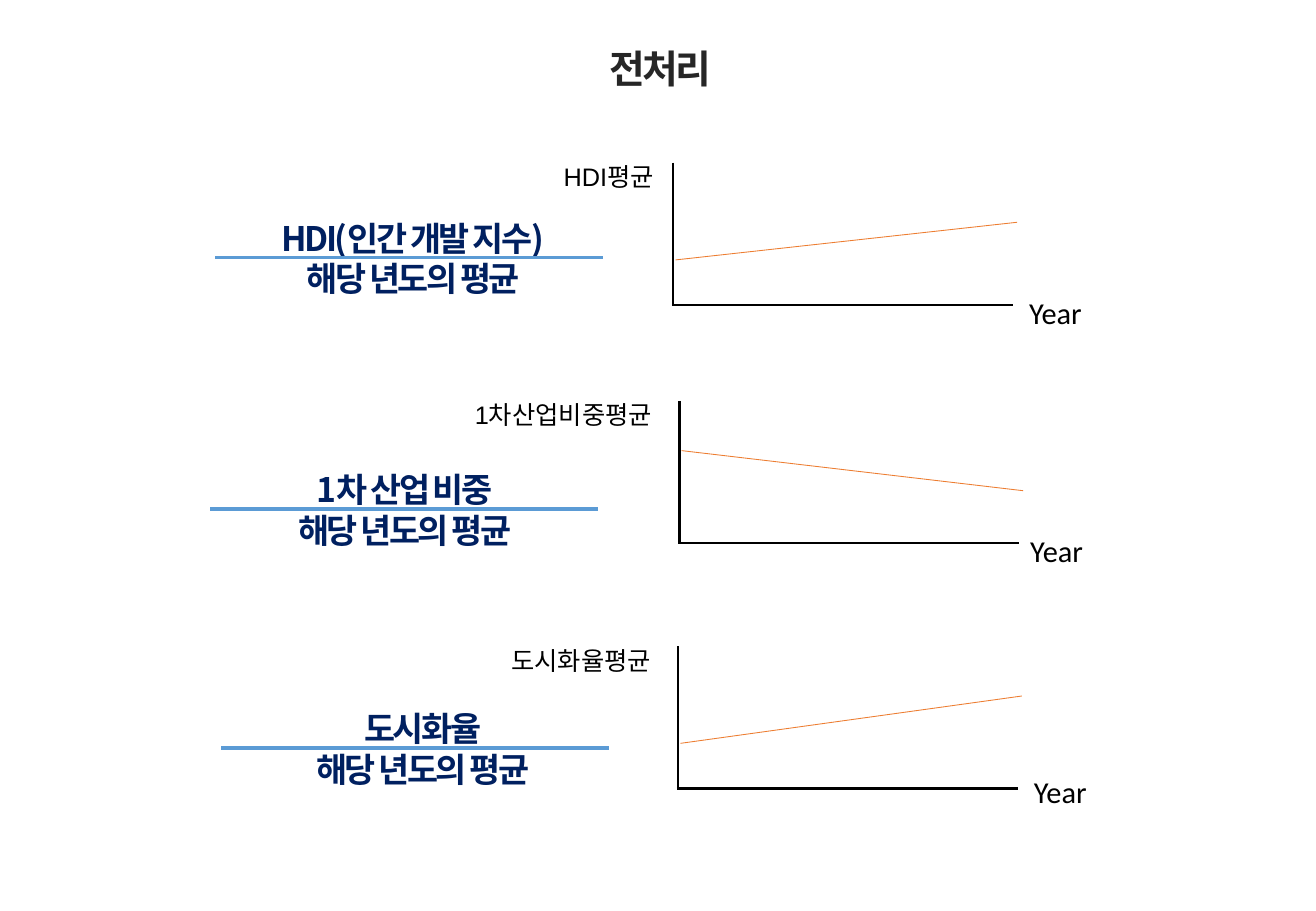
import pptx
import pptx.util
import pptx.dml.color
import pptx.enum.shapes
import pptx.enum.text
import pptx.oxml
import pptx.oxml.ns

Inches = pptx.util.Inches
RGBColor = pptx.dml.color.RGBColor
LEFT = pptx.enum.text.PP_ALIGN.LEFT
CENTER = pptx.enum.text.PP_ALIGN.CENTER

BLACK = RGBColor(0x00, 0x00, 0x00)
GREY = RGBColor(0x26, 0x26, 0x26)
NAVY = RGBColor(0x00, 0x20, 0x60)
BLUE = RGBColor(0x5B, 0x9B, 0xD5)
ORANGE = RGBColor(0xED, 0x7D, 0x31)
KOREAN = "Noto Sans CJK KR"

ROWS = [
    dict(top="HDI(인간 개발 지수)", part=(1.77, 1.74), text=(1.84, 3.12),
         label="HDI평균", graph=(5.53, 1.34), name=(4.54, 1.24),
         trend=(0.8, 0.49), year=(2.84, 0.14)),
    dict(top="1차 산업 비중", part=(1.73, 3.81), text=(1.87, 2.92),
         label="1차산업비중평균", graph=(5.58, 3.3), name=(3.81, 1.98),
         trend=(0.41, 0.74), year=(2.8, 0.14)),
    dict(top="도시화율", part=(1.82, 5.78), text=(2.08, 2.8),
         label="도시화율평균", graph=(5.57, 5.32), name=(4.11, 1.95),
         trend=(0.8, 0.41), year=(2.84, 0.17)),
]


def add_text(slide, box, text, size, font, color, align=LEFT, bold=False):
    frame = slide.shapes.add_textbox(*map(Inches, box)).text_frame
    frame.word_wrap = True
    frame.text = text
    for para in frame.paragraphs:
        para.alignment = align
        for run in para.runs:
            run.font.size = pptx.util.Pt(size)
            run.font.name = font
            run.font.bold = bold
            run.font.color.rgb = color
            props = run.font._element
            east = pptx.oxml.parse_xml(
                f'<a:ea {pptx.oxml.ns.nsdecls("a")} typeface="{KOREAN}"/>')
            props.find(pptx.oxml.ns.qn("a:latin")).addnext(east)
            if bold:
                props.set("spc", "-150")


def add_line(slide, start, end, color, width):
    line = slide.shapes.add_connector(
        pptx.enum.shapes.MSO_CONNECTOR.STRAIGHT, *map(Inches, start + end))
    line.line.color.rgb = color
    line.line.width = pptx.util.Pt(width)
    line._element.spPr.append(pptx.oxml.parse_xml(
        f'<a:effectLst {pptx.oxml.ns.nsdecls("a")}/>'))


def add_title(slide, box):
    add_text(slide, box, "전처리", 23, KOREAN, GREY, CENTER, True)


def add_ratio(slide, box, row):
    x, y, wide, high = box
    left, span = row["text"]
    add_text(slide, (left, y, span, high), row["top"] + "\n해당 년도의 평균",
             20, KOREAN, NAVY, CENTER, True)
    add_line(slide, (x, y + 0.38), (x + wide, y + 0.38), BLUE, 2.25)


def add_graph(slide, box, row):
    x, y, wide, high = box
    base = y + high
    first, last = row["trend"]
    left, span = row["name"]
    right, rise = row["year"]
    add_line(slide, (x + 0.01, y), (x + 0.01, base), BLACK, 1.5)
    add_line(slide, (x, base), (x + wide, base), BLACK, 1.5)
    add_line(slide, (x + 0.03, y + first), (x + 0.03 + wide, y + last),
             ORANGE, 0.5)
    add_text(slide, (x + right, base - rise, 0.64, 0.4), "Year", 18,
             "Calibri", BLACK)
    add_text(slide, (left, y - 0.06, span, 0.35), row["label"], 15, "Arial",
             BLACK)


def main():
    deck = pptx.Presentation()
    deck.slide_width = Inches(10.83)
    deck.slide_height = Inches(7.5)
    slide = deck.slides.add_slide(deck.slide_layouts[6])
    add_title(slide, (3.26, 0.32, 4.35, 0.49))
    for row in ROWS:
        add_ratio(slide, row["part"] + (3.19, 1.58), row)
        add_graph(slide, row["graph"] + (2.81, 1.17), row)
    deck.save("out.pptx")


if __name__ == "__main__":
    main()
